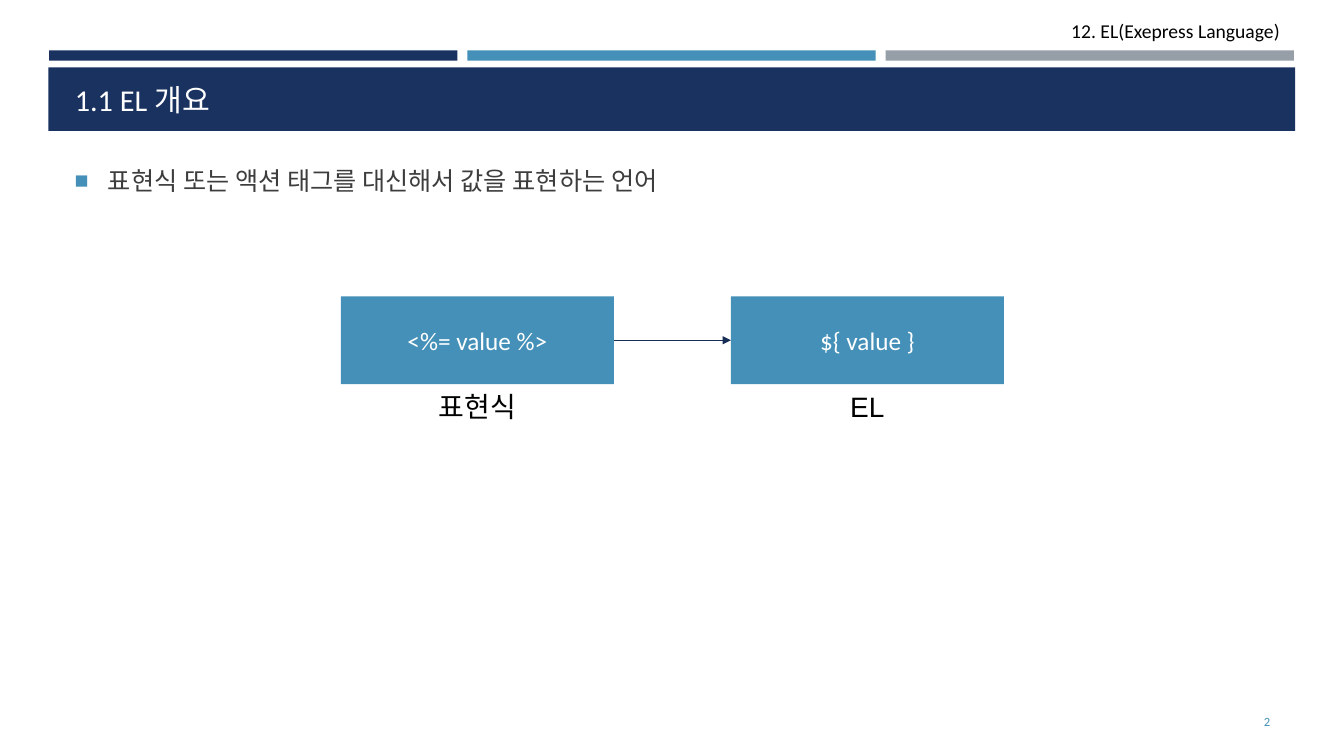
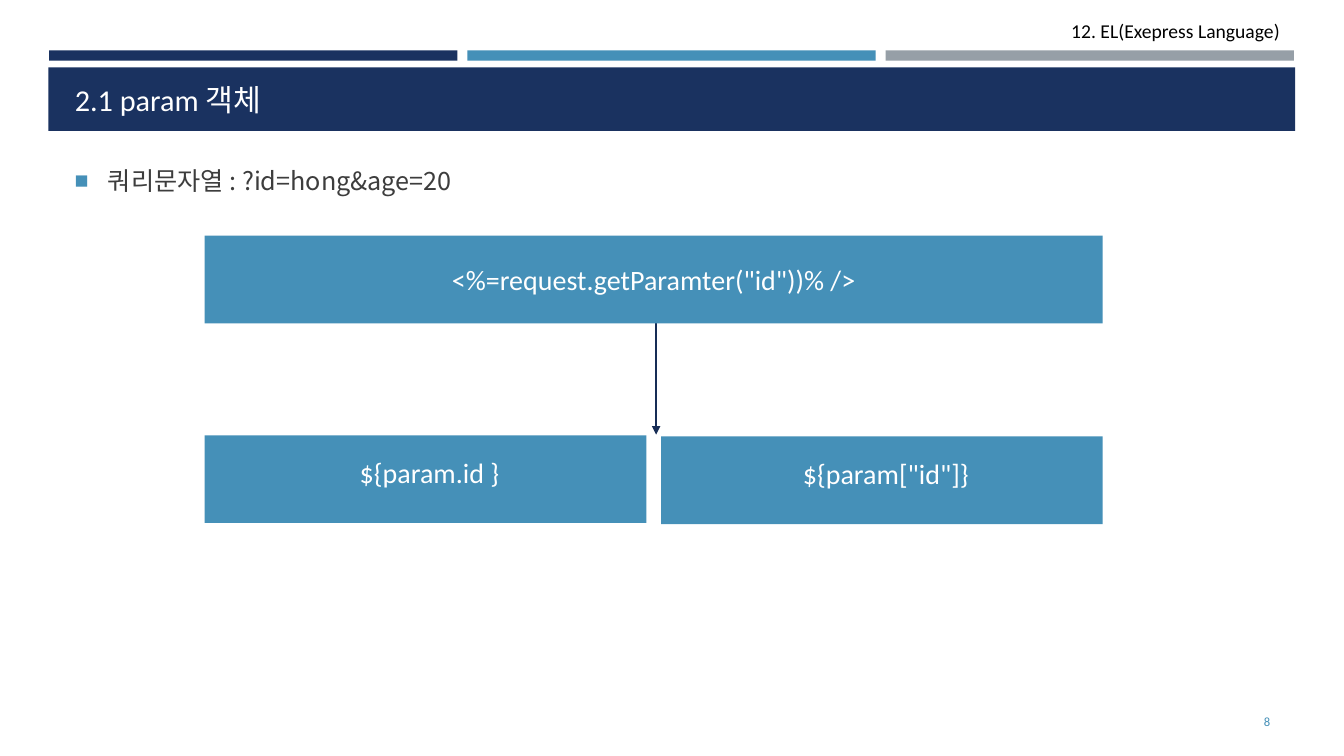
from collections import namedtuple

from lxml import etree
from pptx import Presentation
from pptx.dml.color import RGBColor
from pptx.enum.shapes import MSO_CONNECTOR, MSO_SHAPE
from pptx.enum.text import MSO_ANCHOR, MSO_AUTO_SIZE, PP_ALIGN
from pptx.oxml.ns import qn
from pptx.util import Cm, Pt

LEFT, CENTER, RIGHT = PP_ALIGN.LEFT, PP_ALIGN.CENTER, PP_ALIGN.RIGHT
TOP, MIDDLE, BOTTOM = MSO_ANCHOR.TOP, MSO_ANCHOR.MIDDLE, MSO_ANCHOR.BOTTOM
RECTANGLE, STRAIGHT = MSO_SHAPE.RECTANGLE, MSO_CONNECTOR.STRAIGHT
NO_AUTOFIT = MSO_AUTO_SIZE.NONE

NAVY, BLUE, GRAY = "1A3260", "4590B8", "969FA7"
ARROW, INK, BLACK, WHITE = "172D56", "3D3D3D", "000000", "FFFFFF"
LATIN, SANS, KOREAN = "Calibri", "Arial", "Noto Sans CJK KR"
TITLE_ONLY = 5

# All box lengths are in centimetres
Box = namedtuple("Box", "left top width height")
HEADER = Box(22.25, 0.36, 10.26, 0.86)
STRIPES = Box(1.24, 1.27, 31.37, 0.26)
BAND = Box(1.22, 1.7, 31.42, 1.6)
TITLE = Box(1.63, 1.96, 30.63, 1.14)
BODY = Box(1.63, 4.04, 30.63, 13.41)
NUMBER = Box(29.34, 17.68, 2.92, 1.02)


def color(hex_text):
    return RGBColor.from_string(hex_text)


def lengths(box):
    return [Cm(value) for value in box]


def write(shape, text, font=LATIN, size=18, ink=WHITE, align=CENTER, anchor=TOP):
    frame = shape.text_frame
    frame.word_wrap = True
    frame.auto_size = NO_AUTOFIT
    frame.vertical_anchor = anchor
    para = frame.paragraphs[0]
    para.alignment = align
    span = para.add_run()
    span.text = text
    span.font.name = font
    span.font.size = Pt(size)
    span.font.color.rgb = color(ink)
    return para


def add_text(page, box, text, **style):
    return write(page.shapes.add_textbox(*lengths(box)), text, **style)


def add_block(page, box, fill=BLUE, text=None, **style):
    block = page.shapes.add_shape(RECTANGLE, *lengths(box))
    block.shadow.inherit = False
    block.fill.solid()
    block.fill.fore_color.rgb = color(fill)
    block.line.fill.background()
    if text:
        write(block, text, anchor=MIDDLE, **style)
    return block


def add_arrow(page, start, end):
    arrow = page.shapes.add_connector(STRAIGHT, *lengths(start + end))
    arrow.line.color.rgb = color(ARROW)
    arrow.line.width = Pt(1)
    line = arrow.line._get_or_add_ln()
    etree.SubElement(line, qn("a:tailEnd"), type="triangle")
    etree.SubElement(arrow.element.spPr, qn("a:effectLst"))


def add_bullet(page, box, text, font):
    para = add_text(page, box, text, font=font, ink=INK, align=LEFT)
    para.space_after = Pt(6)
    props = para._p.get_or_add_pPr()
    props.set("marL", str(Cm(0.84)))
    props.set("indent", str(Cm(-0.84)))
    bullet_color = etree.SubElement(props, qn("a:buClr"))
    etree.SubElement(bullet_color, qn("a:srgbClr"), val=BLUE)
    etree.SubElement(props, qn("a:buSzPct"), val="92000")
    etree.SubElement(props, qn("a:buFont"), typeface=SANS)
    etree.SubElement(props, qn("a:buChar"), char="■")


def add_stripes(page, box, gap=0.25):
    fills = (NAVY, BLUE, GRAY)
    width = (box.width - gap * (len(fills) - 1)) / len(fills)
    for index, fill in enumerate(fills):
        left = box.left + index * (width + gap)
        add_block(page, box._replace(left=left, width=width), fill)


def add_page(deck, title_text, number):
    page = deck.slides.add_slide(deck.slide_layouts[TITLE_ONLY])
    add_stripes(page, STRIPES)
    add_text(page, HEADER, "12. EL(Exepress Language)", size=14, ink=BLACK, align=RIGHT)

    # Title in front of its band
    title = page.shapes.title
    band = add_block(page, BAND, NAVY)
    title.element.addprevious(band.element)
    title.left, title.top, title.width, title.height = lengths(TITLE)
    write(title, title_text, size=21.6, align=LEFT, anchor=BOTTOM)

    add_text(page, NUMBER, number, size=9, ink=BLUE, align=RIGHT, anchor=MIDDLE)
    return page


def draw_replacement(page, box, gap=2.95, caption_height=1.12):
    """Two captioned blocks side by side, joined by an arrow."""
    width = (box.width - gap) / 2
    middle = box.top + box.height / 2
    items = (("<%= value %>", "표현식"), ("${ value }", "EL"))
    for index, (code, caption) in enumerate(items):
        block = box._replace(left=box.left + index * (width + gap), width=width)
        add_block(page, block, text=code)
        below = Box(block.left + 2, box.top + box.height, width - 4, caption_height)
        add_text(page, below, caption, font=SANS, size=20, ink=BLACK)
    add_arrow(page, (box.left + width, middle), (box.left + width + gap, middle))


def draw_branches(page, box, block_height=2.21, gap=0.37):
    """One wide block above two equal blocks, joined by an arrow."""
    width = (box.width - gap) / 2
    lower = box.top + box.height - block_height
    center = box.left + box.width / 2 + 0.06

    # Lower blocks with their labels
    for index, code in enumerate(("${param.id }", '${param["id"]}')):
        left = box.left + index * (width + gap)
        top = lower + index * 0.03
        add_block(page, Box(left, top, width, block_height))
        label = Box(left + 1.23, top + 0.39, width - 2.26, 1.12)
        add_text(page, label, code, size=20)

    # Arrow starts behind the wide block
    add_arrow(page, (center, box.top + block_height - 0.12), (center, lower - 0.02))
    add_block(page, box._replace(height=block_height),
              text='<%=request.getParamter("id"))% />', size=20)


deck = Presentation()
deck.slide_width, deck.slide_height = Cm(33.87), Cm(19.05)

overview = add_page(deck, "1.1 EL 개요", "2")
add_bullet(overview, BODY, "표현식 또는 액션 태그를 대신해서 값을 표현하는 언어", SANS)
draw_replacement(overview, Box(8.59, 7.47, 16.71, 2.21))

param = add_page(deck, "2.1 param 객체", "8")
add_bullet(param, BODY, "쿼리문자열 : ?id=hong&age=20", KOREAN)
draw_branches(param, Box(5.16, 5.94, 22.63, 7.24))

deck.save("out.pptx")
